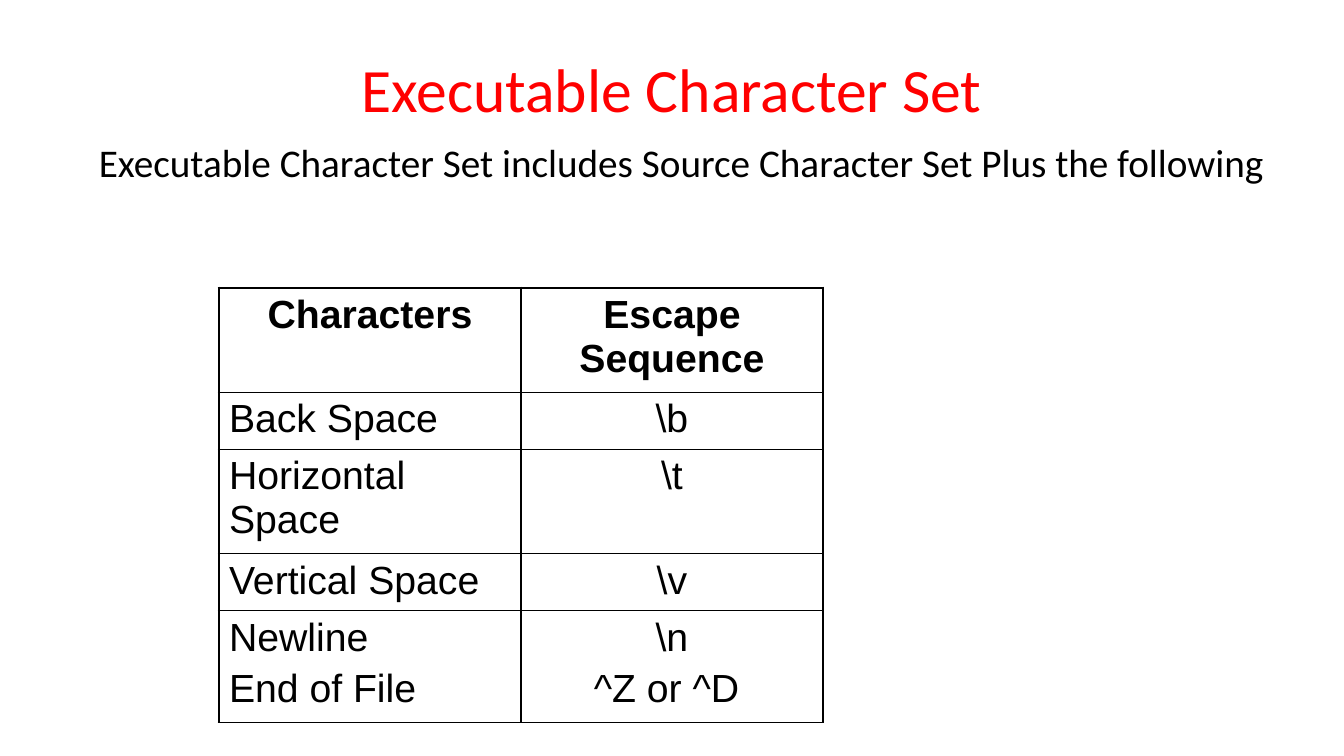
"""Build the slide on the executable character set."""
from lxml.etree import SubElement
from pptx import Presentation
from pptx.dml.color import RGBColor
from pptx.enum.text import MSO_ANCHOR as Anchor, PP_ALIGN as Align
from pptx.oxml.ns import qn
from pptx.util import Pt

PX = 914400 / 100.8
RED = RGBColor(0xFF, 0, 0)
BLACK = RGBColor(0, 0, 0)


def px(*sizes):
    return [round(size * PX) for size in sizes]


def style(para, face, size, color, bold=False):
    font = para.font
    font.name, font.size, font.bold = face, Pt(size), bold
    font.color.rgb = color


deck = Presentation()
deck.slide_width, deck.slide_height = px(1344, 756)
slide = deck.slides.add_slide(deck.slide_layouts[6])

title = slide.shapes.add_textbox(*px(67, 30, 1210, 126)).text_frame
title.word_wrap = True
title.vertical_anchor = Anchor.MIDDLE
title.text = "Executable Character Set"
head = title.paragraphs[0]
head.alignment = Align.CENTER
head.line_spacing = 0.9
style(head, "Calibri", 44, RED)

rows = [
    ("Characters", "Escape Sequence"),
    ("Back Space", "\\b"),
    ("Horizontal Space", "\\t"),
    ("Vertical Space", "\\v"),
    ("Newline\nEnd of File", "\\n\n^Z or ^D "),
]
table = slide.shapes.add_table(5, 2, *px(219, 288, 604, 408)).table
table.first_row = table.horz_banding = False
for col in table.columns:
    col.width = px(302)[0]
for row, high in zip(table.rows, px(97, 54, 97, 54, 106)):
    row.height = high

for r, texts in enumerate(rows):
    for c, text in enumerate(texts):
        cell = table.cell(r, c)
        cell.text = text
        for n, para in enumerate(cell.text_frame.paragraphs):
            para.alignment = Align.CENTER if r == 0 or c == 1 else Align.LEFT
            para.space_before = Pt(5 * n)
            style(para, "Arial", 28, BLACK, r == 0)
        thick = {"L": c == 0, "R": c == 1, "T": r == 0, "B": False}
        props = cell._tc.get_or_add_tcPr()
        for side, wide in thick.items():
            line = SubElement(props, qn(f"a:ln{side}"), w=str(Pt(2.25 if wide else 1)))
            fill = SubElement(line, qn("a:solidFill"))
            SubElement(fill, qn("a:srgbClr"), val=str(BLACK))
        cell.fill.background()

intro = slide.shapes.add_textbox(*px(89, 133, 1223, 57)).text_frame
intro.word_wrap = True
intro.text = "Executable Character Set includes Source Character Set Plus the following"
style(intro.paragraphs[0], "Calibri", 28, BLACK)

deck.save("out.pptx")
